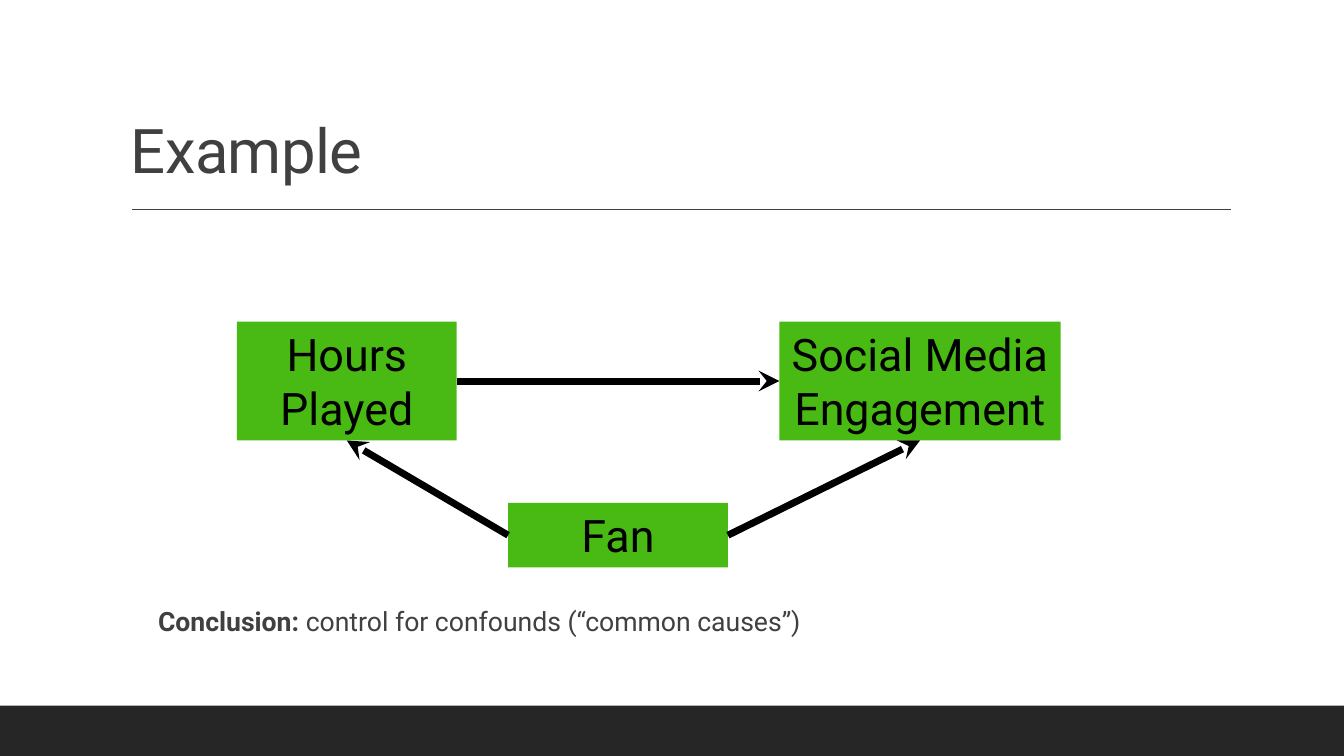
from pptx import Presentation
from pptx.dml.color import RGBColor
from pptx.enum import shapes, text
from pptx.oxml import ns
from pptx.util import Inches, Pt
from lxml import etree

FONT = "Roboto"
COLORS = {"bar": "262626", "gray": "404040", "green": "49BA14", "black": "000000"}
TOP, LEFT, BOTTOM, RIGHT = range(4)

deck = Presentation()
deck.slide_width, deck.slide_height = Inches(13.33), Inches(7.5)
slide = deck.slides.add_slide(deck.slide_layouts[6])


def add_rect(x, y, w, h, color):
    rect = slide.shapes.add_shape(
        shapes.MSO_SHAPE.RECTANGLE, Inches(x), Inches(y), Inches(w), Inches(h))
    rect.shadow.inherit = False
    rect.fill.solid()
    rect.fill.fore_color.rgb = RGBColor.from_string(COLORS[color])
    rect.line.fill.background()
    return rect


def add_line(x1, y1, x2, y2, color, width):
    line = slide.shapes.add_connector(
        shapes.MSO_CONNECTOR.STRAIGHT, Inches(x1), Inches(y1), Inches(x2), Inches(y2))
    line.line.color.rgb = RGBColor.from_string(COLORS[color])
    line.line.width = Pt(width)
    etree.SubElement(line._element.spPr, ns.qn("a:effectLst"))
    return line


# Frame
add_rect(0, 7, 13.33, 0.5, "bar")
add_line(1.31, 2.08, 12.21, 2.08, "gray", 1)

# Title
title = slide.shapes.add_textbox(Inches(1.2), Inches(0.31), Inches(11), Inches(1.59))
frame = title.text_frame
frame.word_wrap = True
frame.vertical_anchor = text.MSO_ANCHOR.BOTTOM
para = frame.paragraphs[0]
para.line_spacing = 0.9
run = para.add_run()
run.text = "Example"
run._r.get_or_add_rPr().set("spc", "-50")
para.font.name, para.font.size = FONT, Pt(44)
para.font.color.rgb = RGBColor.from_string(COLORS["gray"])

# Causal diagram
nodes = {}
for label, x, y, w, h in [
    ("Hours Played", 2.35, 3.19, 2.18, 1.18),
    ("Social Media Engagement", 7.73, 3.19, 2.79, 1.18),
    ("Fan", 5.04, 4.99, 2.18, 0.64),
]:
    node = nodes[label] = add_rect(x, y, w, h, "green")
    frame = node.text_frame
    frame.word_wrap = True
    frame.vertical_anchor = text.MSO_ANCHOR.TOP
    para = frame.paragraphs[0]
    para.text = label
    para.alignment = text.PP_ALIGN.CENTER
    para.font.name, para.font.size = FONT, Pt(32)
    para.font.color.rgb = RGBColor.from_string(COLORS["black"])

for start, side, end, goal in [
    ("Hours Played", RIGHT, "Social Media Engagement", LEFT),
    ("Fan", LEFT, "Hours Played", BOTTOM),
    ("Fan", RIGHT, "Social Media Engagement", BOTTOM),
]:
    arrow = add_line(0, 0, 0, 0, "black", 5)
    arrow.begin_connect(nodes[start], side)
    arrow.end_connect(nodes[end], goal)
    etree.SubElement(arrow.line._get_or_add_ln(), ns.qn("a:tailEnd"), type="stealth")

# Conclusion
note = slide.shapes.add_textbox(Inches(1.47), Inches(5.89), Inches(11.3), Inches(0.95))
frame = note.text_frame
frame.word_wrap = True
frame.margin_left, frame.margin_right = Inches(0.1), 0
para = frame.paragraphs[0]
para.line_spacing = 1.2
for words, bold in [("Conclusion: ", True), ("control for confounds (“common causes”)", False)]:
    run = para.add_run()
    run.text = words
    run.font.bold = bold
para.font.name, para.font.size = FONT, Pt(19)
para.font.color.rgb = RGBColor.from_string(COLORS["gray"])

deck.save("out.pptx")
